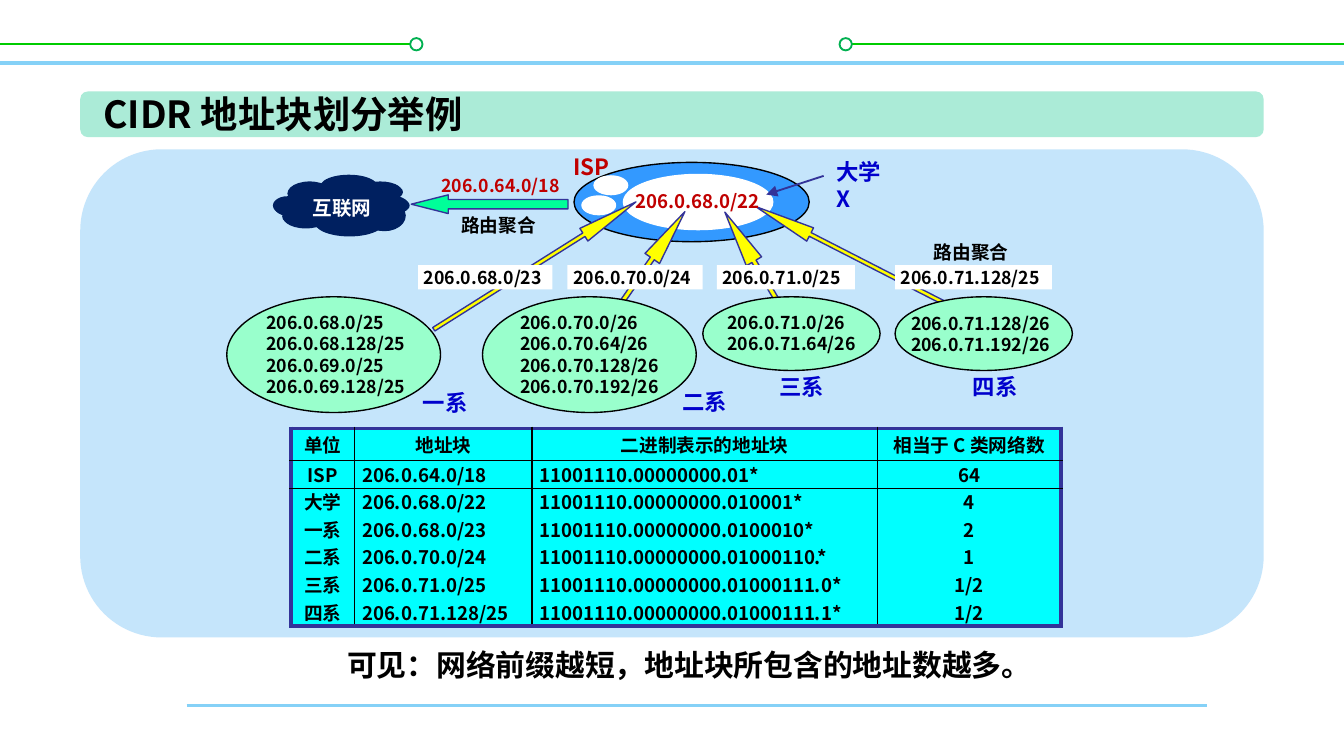
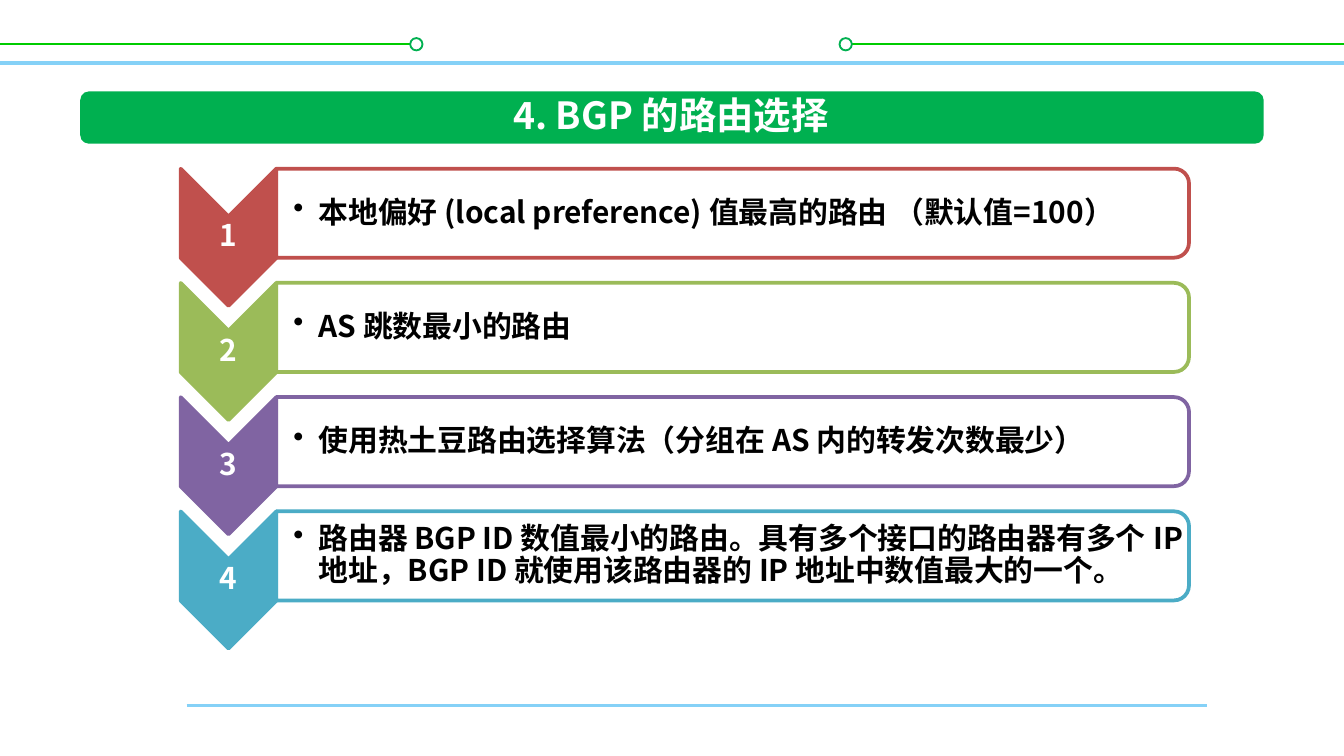
from lxml import etree
from pptx import Presentation
from pptx.dml.color import RGBColor
from pptx.enum.shapes import MSO_CONNECTOR, MSO_SHAPE
from pptx.enum.text import MSO_ANCHOR, PP_ALIGN
from pptx.oxml.ns import qn
from pptx.util import Pt

OVAL, RECT, ROUND = MSO_SHAPE.OVAL, MSO_SHAPE.RECTANGLE, MSO_SHAPE.ROUNDED_RECTANGLE
ARROW, CHEVRON = MSO_SHAPE.LEFT_ARROW, MSO_SHAPE.CHEVRON
TAB = MSO_SHAPE.ROUND_2_SAME_RECTANGLE
LEFT, CENTER, MIDDLE = PP_ALIGN.LEFT, PP_ALIGN.CENTER, MSO_ANCHOR.MIDDLE

FONT = "Noto Sans CJK SC"
BLACK, WHITE = RGBColor(0, 0, 0), RGBColor(255, 255, 255)
SKY, LIME = RGBColor(0x85, 0xD1, 0xF7), RGBColor(0, 0xCC, 0)
GREEN, MINT = RGBColor(0, 0xB0, 0x50), RGBColor(0xAB, 0xEB, 0xD7)
PALE, AQUA = RGBColor(0xC5, 0xE5, 0xFB), RGBColor(0x99, 0xFF, 0xCC)
NAVY, INDIGO = RGBColor(0, 0x20, 0x60), RGBColor(0x33, 0x33, 0x99)
AZURE, CYAN = RGBColor(0x33, 0x99, 0xFF), RGBColor(0, 0xFF, 0xFF)
JADE, YELLOW = RGBColor(0, 0xFF, 0x99), RGBColor(0xFF, 0xFF, 0)
RED, BLUE = RGBColor(0xC0, 0, 0), RGBColor(0, 0, 0xCC)

# Shared frame: (x1, y1, x2, y2, colour, width) and the dots on the green lines
RULES = [
    (100, 378, 646.5, 378, SKY, 1.5),
    (0, 33.75, 720, 33.75, SKY, 2),
    (0, 23.75, 223, 23.75, LIME, 1),
    (450, 23.75, 720, 23.75, LIME, 1),
]
DOTS = [219.75, 449.75]

# Slide 1
CLOUD = [
    (171.4, 93.6, 31, 13), (154, 97.2, 23.8, 13), (146.2, 105.1, 15.8, 10),
    (151.2, 110.2, 23.8, 11.5), (168.5, 112.3, 36, 13.7), (192.2, 97.2, 23, 10),
    (195.8, 104.4, 23, 10), (193.7, 106.6, 23, 16.6), (159.8, 101.5, 46.8, 16.6),
]
DEPTS = [
    dict(name="一系", tag=(219.5, 205), oval=(121.5, 159, 114.5, 62),
         text=(135.5, 163.5, 93, 53), plate=(224, 72), label="206.0.68.0/23",
         arrow=(222.5, 138.25, 128, 8), turn=147.8, head=4.126,
         nets=["206.0.68.0/25", "206.0.68.128/25", "206.0.69.0/25", "206.0.69.128/25"]),
    dict(name="二系", tag=(358.5, 204.5), oval=(258.5, 159, 114.5, 62),
         text=(271.5, 163.5, 93, 53), plate=(304, 72.5), label="206.0.70.0/24",
         arrow=(292.3, 147.6, 95, 9.5), turn=124.8, head=3.223,
         nets=["206.0.70.0/26", "206.0.70.64/26", "206.0.70.128/26", "206.0.70.192/26"]),
    dict(name="三系", tag=(410.5, 196.5), oval=(376.5, 159, 95, 39.5),
         text=(382.5, 163.5, 86.5, 30), plate=(384, 74), label="206.0.71.0/25",
         arrow=(365, 149.75, 95, 9.5), turn=59.4, head=3.225,
         nets=["206.0.71.0/26", "206.0.71.64/26"]),
    dict(name="四系", tag=(514, 196.5), oval=(479.5, 159, 95, 39.5),
         text=(481, 164, 93, 30), plate=(479.5, 84), label="206.0.71.128/25",
         arrow=(398.2, 134, 120, 8), turn=27.1, head=4.11,
         nets=["206.0.71.128/26", "206.0.71.192/26"]),
]
# (text, box, size, colour, alignment)
NOTES = [
    ("206.0.68.0/22", (332, 98, 83.5, 19.5), 10, RED, CENTER),
    ("206.0.64.0/18", (229.5, 90, 80.5, 18.5), 9.5, RED, LEFT),
    ("ISP", (300, 78.5, 34, 21.5), 12, RED, LEFT),
    ("路由聚合", (239.75, 111, 54.5, 19.5), 10, BLACK, CENTER),
    ("路由聚合", (493, 125.25, 54.5, 19.5), 10, BLACK, CENTER),
]
COLS = [34, 95, 185, 98.5]
ROWS = [
    ("单位", "地址块", "二进制表示的地址块", "相当于 C 类网络数"),
    ("ISP", "206.0.64.0/18", "11001110.00000000.01*", "64"),
    ("大学", "206.0.68.0/22", "11001110.00000000.010001*", "4"),
    ("一系", "206.0.68.0/23", "11001110.00000000.0100010*", "2"),
    ("二系", "206.0.70.0/24", "11001110.00000000.01000110.*", "1"),
    ("三系", "206.0.71.0/25", "11001110.00000000.01000111.0*", "1/2"),
    ("四系", "206.0.71.128/25", "11001110.00000000.01000111.1*", "1/2"),
]
HEAD_H, ROW_H = 17.3, 14.75
NO_GRID = "{2D5ABB26-0587-4C30-8999-92F81FD0307C}"

# Slide 2
STEPS = [
    (RGBColor(0xC0, 0x50, 0x4D), "本地偏好 (local preference) 值最高的路由 （默认值=100）"),
    (RGBColor(0x9B, 0xBB, 0x59), "AS 跳数最小的路由"),
    (RGBColor(0x80, 0x64, 0xA2), "使用热土豆路由选择算法（分组在 AS 内的转发次数最少）"),
    (RGBColor(0x4B, 0xAC, 0xC6), "路由器 BGP ID 数值最小的路由。具有多个接口的路由器有多个 IP 地址，"
                                 "BGP ID 就使用该路由器的 IP 地址中数值最大的一个。"),
]
PITCH = 61.2


def pts(box):
    return [Pt(n) for n in box]


def add(tag, parent, **attrs):
    return etree.SubElement(parent, qn(tag), attrs)


def draw(shapes, kind, box, fill, line=None, width=0.75, turn=0, adj=()):
    shape = shapes.add_shape(kind, *pts(box))
    shape.shadow.inherit = False
    shape.fill.solid()
    shape.fill.fore_color.rgb = fill
    if line is None:
        shape.line.fill.background()
    else:
        shape.line.color.rgb = line
        shape.line.width = Pt(width)
    shape.rotation = turn
    for i, value in enumerate(adj):
        shape.adjustments[i] = value
    return shape


def rule(slide, x1, y1, x2, y2, color, width):
    line = slide.shapes.add_connector(MSO_CONNECTOR.STRAIGHT, *pts((x1, y1, x2, y2)))
    line.line.color.rgb = color
    line.line.width = Pt(width)
    add("a:effectLst", line._element.spPr)
    return line


def style(frame, text, size, color, align=LEFT):
    """Fill a text frame and give every run the deck's bold font."""
    frame.text = text
    for para in frame.paragraphs:
        para.alignment = align
        for run in para.runs:
            font = run.font
            font.size, font.bold, font.name = Pt(size), True, FONT
            font.color.rgb = color
            add("a:ea", run._r.get_or_add_rPr(), typeface=FONT)


def write(slide, text, box, size, color, align=LEFT, wrap=False):
    frame = slide.shapes.add_textbox(*pts(box)).text_frame
    frame.word_wrap = wrap
    style(frame, text, size, color, align)
    return frame


def start(deck):
    """Add a slide that carries the shared lines and dots."""
    slide = deck.slides.add_slide(deck.slide_layouts[6])
    for item in RULES:
        rule(slide, *item)
    for x in DOTS:
        draw(slide.shapes, OVAL, (x, 20.4, 6.6, 6.6), WHITE, GREEN, 1)
    return slide


def band(slide, height, fill):
    draw(slide.shapes, ROUND, (43, 49, 634, height), fill)


def cloud(slide):
    group = slide.shapes.add_group_shape().shapes
    for shift in (0.7, 0):
        for x, y, w, h in CLOUD:
            draw(group, OVAL, (x + shift, y + shift, w, h), NAVY)
    frame = draw(group, RECT, (160.5, 100.8, 47.5, 20.9), NAVY).text_frame
    frame.word_wrap = False
    style(frame, "互联网", 10.5, WHITE)


def border(cell, side, color, width):
    line = add("a:" + side, cell._tc.get_or_add_tcPr(), w=str(Pt(width)))
    add("a:srgbClr", add("a:solidFill", line), val=str(color))


def grid(slide):
    height = HEAD_H + ROW_H * (len(ROWS) - 1)
    box = pts((156, 229.5, sum(COLS), height))
    table = slide.shapes.add_table(len(ROWS), len(COLS), *box).table
    table.first_row = table.horz_banding = False
    table._tbl.tblPr.find(qn("a:tableStyleId")).text = NO_GRID
    for col, width in zip(table.columns, COLS):
        col.width = Pt(width)
    thick, thin = (INDIGO, 2.25), (BLACK, 0.75)
    end_r, end_c = len(ROWS) - 1, len(COLS) - 1
    for r, row in enumerate(ROWS):
        table.rows[r].height = Pt(ROW_H if r else HEAD_H)
        for c, text in enumerate(row):
            cell = table.cell(r, c)
            cell.margin_top = cell.margin_bottom = 0
            cell.margin_left = cell.margin_right = Pt(4)
            cell.vertical_anchor = MIDDLE
            border(cell, "lnL", *(thin if c else thick))
            border(cell, "lnR", *(thick if c == end_c else thin))
            if r < 2:
                border(cell, "lnT", *(thin if r else thick))
            if r in (0, end_r):
                border(cell, "lnB", *(thick if r else thin))
            cell.fill.solid()
            cell.fill.fore_color.rgb = CYAN
            align = LEFT if r and c in (1, 2) else CENTER
            style(cell.text_frame, text, 10, BLACK, align)


def cidr(deck):
    slide = start(deck)
    shapes = slide.shapes
    draw(shapes, ROUND, (43, 80, 634, 261.5), PALE)
    band(slide, 24.5, MINT)
    write(slide, "CIDR 地址块划分举例", (48.25, 45.4, 212.5, 31.7), 20, BLACK)
    cloud(slide)
    draw(shapes, OVAL, (307.5, 87, 126, 42.5), AZURE, BLACK)
    draw(shapes, OVAL, (334, 93.5, 80, 29.5), WHITE, WHITE)
    for x, y in [(311.75, 105), (318.25, 94.25)]:
        draw(shapes, OVAL, (x, y, 18, 10), WHITE, WHITE)
    draw(shapes, ARROW, (220.3, 104.4, 84, 10), JADE, INDIGO, adj=(0.5, 1.982))
    for dept in DEPTS:
        draw(shapes, ARROW, dept["arrow"], YELLOW, INDIGO,
             turn=dept["turn"], adj=(0.271, dept["head"]))
    for dept in DEPTS:
        draw(shapes, OVAL, dept["oval"], AQUA, BLACK)
        write(slide, "\n".join(dept["nets"]), dept["text"], 9.5, BLACK)
        x, width = dept["plate"]
        draw(shapes, RECT, (x, 142, width, 13), WHITE)
        write(slide, dept["label"], (x - 4, 139.5, width + 9, 18.5), 9.5, BLACK)
        write(slide, dept["name"], (*dept["tag"], 39, 21.5), 12, BLUE)
    for note in NOTES:
        write(slide, *note)
    write(slide, "大学 X", (441, 81.25, 46, 36), 12, BLUE, wrap=True)
    link = rule(slide, 410.5, 104.25, 441.25, 94.25, INDIGO, 1)
    add("a:headEnd", link.line._get_or_add_ln(), type="triangle")
    grid(slide)
    write(slide, "可见：网络前缀越短，地址块所包含的地址数越多。",
          (151, 342.75, 437, 26.5), 16, BLACK, CENTER, True)


def inset(frame, left, after):
    """Tight margins, centred upright, close lines."""
    frame.margin_left = Pt(left)
    frame.margin_top = frame.margin_right = frame.margin_bottom = Pt(0.7)
    frame.vertical_anchor = MIDDLE
    para = frame.paragraphs[0]
    para.line_spacing, para.space_after = 0.9, Pt(after)
    return para


def bgp(deck):
    slide = start(deck)
    band(slide, 28, GREEN)
    write(slide, "4. BGP 的路由选择", (152.5, 46, 414, 31.7), 20, WHITE, CENTER, True)
    for i, (color, text) in enumerate(STEPS):
        y = i * PITCH
        draw(slide.shapes, CHEVRON, (85.7, 101.5 + y, 73.4, 51.2), color, color, 2, 90)
        frame = write(slide, str(i + 1), (96.5, 116 + y, 51.2, 22.3), 16, WHITE, CENTER, True)
        inset(frame, 0.7, 5.6)
        panel = draw(slide.shapes, TAB, (368.6, -130.3 + y, 47.7, 489), WHITE, color, 2, 90)
        tint = panel._element.spPr.find(qn("a:solidFill"))[0]
        add("a:alpha", tint, val="90000")
        frame = write(slide, text, (148.2, 92.8 + y, 486.7, 43), 16, BLACK, wrap=True)
        para = inset(frame, 9, 2.4)
        para.level = 1
        props = para._p.get_or_add_pPr()
        props.set("marL", str(Pt(13.5)))
        props.set("indent", str(Pt(-13.5)))
        add("a:buChar", props, char="•")


def main():
    deck = Presentation()
    deck.slide_width, deck.slide_height = Pt(720), Pt(405)
    cidr(deck)
    bgp(deck)
    deck.save("out.pptx")


if __name__ == "__main__":
    main()
